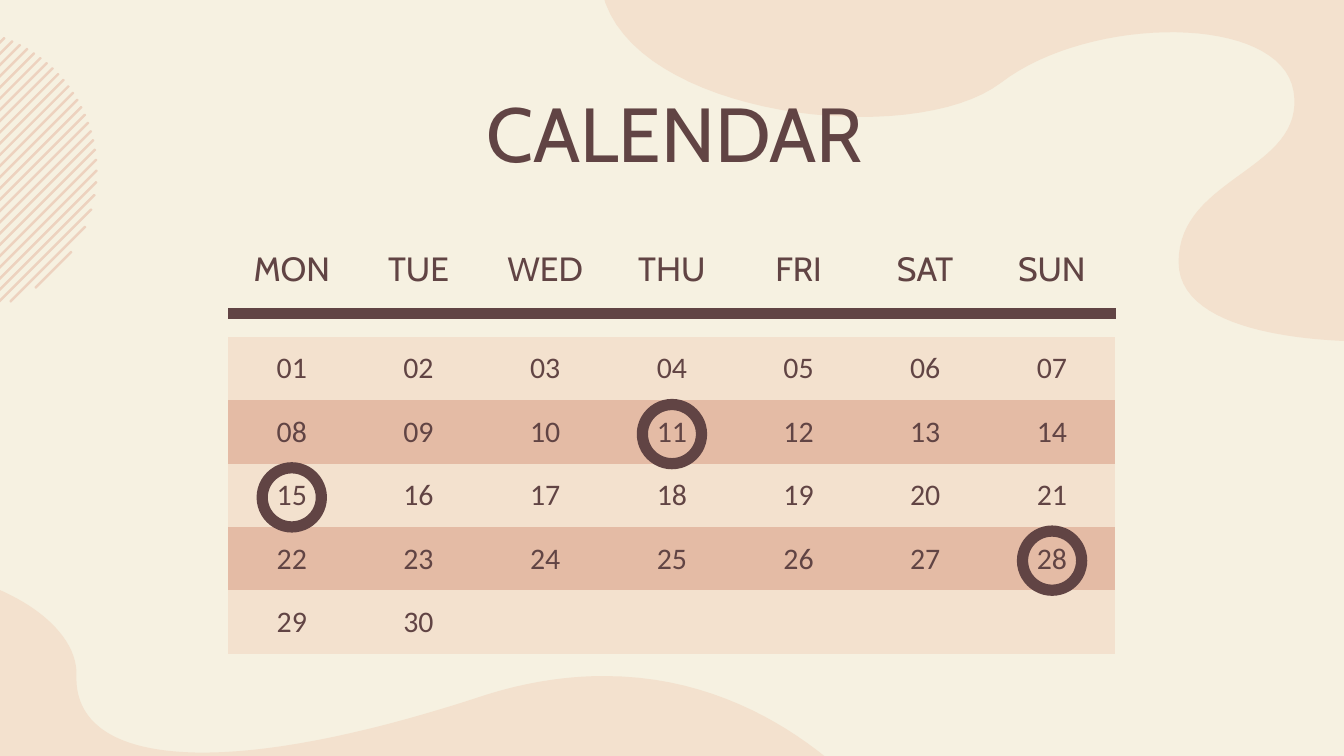
from dataclasses import dataclass
from math import sqrt

from lxml import etree
from pptx import Presentation
from pptx import util as u
from pptx.dml.color import RGBColor
from pptx.enum import shapes, text
from pptx.oxml.ns import qn

Pt = u.Pt
INK, CREAM, SAND, CLAY, STRIPE = "614444", "F6F1E1", "F3E1CE", "E4BBA5", "EDD2BF"
DAYS = ["MON", "TUE", "WED", "THU", "FRI", "SAT", "SUN"]
NO_GRID = "{2D5ABB26-0587-4C30-8999-92F81FD0307C}"
LEFT, TOP, WIDTH = 122.4, 126, 475.2
COL_W = WIDTH / len(DAYS)
ROW_HEIGHTS = [54.4, 29.6, 29.6, 29.6, 29.6, 31]

Point = tuple[float, float]


@dataclass
class Blob:
    """Outline in points: a start, cubic curves, then closing corners."""
    start: Point
    curves: list[tuple[Point, Point, Point]]
    corners: list[Point]


@dataclass
class Hatching:
    """Diagonal stripes filling a circle; first is x + y of the first stripe."""
    cx: float
    cy: float
    radius: float
    first: float
    step: float
    count: int
    thickness: float


@dataclass
class Ring:
    day: int
    size: float = 31.7


BLOBS = [
    Blob((737.3, 182.9),
         [((737.3, 182.9), (631.4, 186.5), (631.4, 140.4)),
          ((631.4, 94.3), (699.8, 91.4), (693, 49)),
          ((686.2, 7.2), (583.9, 7.9), (536.4, 44.3)),
          ((488.9, 80.6), (337.7, 62.6), (322.6, -4.3))],
         [(737.3, -4.3)]),
    Blob((476.6, 440.6),
         [((476.6, 440.6), (421.9, 362.2), (324, 362.2)),
          ((304.6, 362.2), (283.7, 365), (260.6, 372.2)),
          ((197.3, 393.1), (146.2, 403.2), (108.7, 403.2)),
          ((64.1, 403.2), (40.3, 388.8), (41, 362.2)),
          ((42.5, 333.4), (-3.6, 304.6), (-56.9, 304.6)),
          ((-96.5, 304.6), (-139.7, 320.4), (-171.4, 362.2))],
         [(-171.4, 440.6)]),
]
HATCHING = Hatching(-24.5, 91.4, 76.1, 22.3, 6.02, 26, 0.4)
RINGS = [Ring(15), Ring(11), Ring(28)]


def rgb(color: str) -> RGBColor:
    return RGBColor.from_string(color)


def write(p, words: str, *, font: str, size: float, color: str = INK) -> None:
    p.alignment = text.PP_ALIGN.CENTER
    r = p.add_run()
    r.text = words
    r.font.name, r.font.size, r.font.bold = font, Pt(size), False
    r.font.color.rgb = rgb(color)


def set_line(s, color: str, width: float) -> None:
    s.line.color.rgb = rgb(color)
    s.line.width = Pt(width)


def draw_outline(parent, points: list[Point], color: str):
    emu = [(Pt(x), Pt(y)) for x, y in points]
    builder = parent.build_freeform(*emu[0])
    builder.add_line_segments(emu[1:], close=True)
    s = builder.convert_to_shape()
    s.shadow.inherit = False
    s.fill.solid()
    s.fill.fore_color.rgb = rgb(color)
    s.line.fill.background()
    return s


def draw_blob(parent, blob: Blob, steps: int = 32) -> None:
    points = [blob.start]
    for b, c, d in blob.curves:
        a = points[-1]
        for i in range(1, steps + 1):
            t = i / steps
            weights = ((1 - t) ** 3, 3 * t * (1 - t) ** 2, 3 * t * t * (1 - t), t ** 3)
            x, y = (sum(w * q[k] for w, q in zip(weights, (a, b, c, d))) for k in (0, 1))
            points.append((x, y))
    draw_outline(parent, points + blob.corners, SAND)


def draw_hatching(parent, h: Hatching) -> None:
    group = parent.add_group_shape()
    for i in range(h.count):
        # Half of the offset along each axis, and half of the chord's width
        shift = (h.first + i * h.step - h.cx - h.cy) / 2
        half = sqrt((h.radius ** 2 - 2 * shift ** 2) / 2)
        x, y, t = h.cx + shift, h.cy + shift, h.thickness
        s = draw_outline(group.shapes, [(x + half, y - half), (x + half + t, y - half + t),
                                        (x - half + t, y + half + t), (x - half, y + half)],
                         STRIPE)
        set_line(s, STRIPE, 0.75)


def draw_ring(parent, ring: Ring) -> None:
    row, col = divmod(ring.day - 1, len(DAYS))
    cx, cy = LEFT + (col + 0.5) * COL_W, 198.7 + row * 33.9
    s = parent.add_shape(shapes.MSO_SHAPE.OVAL, Pt(cx - ring.size / 2),
                         Pt(cy - ring.size / 2), Pt(ring.size), Pt(ring.size))
    s.shadow.inherit = False
    s.fill.background()
    set_line(s, INK, 6)


def draw_calendar(parent) -> None:
    frame = parent.add_table(len(ROW_HEIGHTS), len(DAYS), Pt(LEFT), Pt(TOP),
                             Pt(WIDTH), Pt(sum(ROW_HEIGHTS)))
    table = frame.table
    table.first_row = table.horz_banding = False
    table._tbl.tblPr.find(qn("a:tableStyleId")).text = NO_GRID
    for column in table.columns:
        column.width = Pt(COL_W)
    for row, (height, table_row) in enumerate(zip(ROW_HEIGHTS, table.rows)):
        table_row.height = Pt(height)
        for col, cell in enumerate(table_row.cells):
            cell.margin_left = cell.margin_right = Pt(7.2)
            cell.margin_top = cell.margin_bottom = Pt(7.2)
            p = cell.text_frame.paragraphs[0]
            if row == 0:
                cell.fill.background()
                write(p, DAYS[col], font="Cabin", size=18)
                continue
            cell.vertical_anchor = text.MSO_ANCHOR.MIDDLE
            cell.fill.solid()
            cell.fill.fore_color.rgb = rgb(SAND if row % 2 else CLAY)
            day = (row - 1) * len(DAYS) + col + 1
            if day <= 30:
                write(p, f"{day:02}", font="Calibri", size=16)
            else:
                # Empty cells keep the height of the dated ones
                etree.SubElement(p._p, qn("a:endParaRPr")).set("sz", "1600")


def draw_rule(parent, x1: float, x2: float, y: float) -> None:
    s = parent.add_connector(shapes.MSO_CONNECTOR.STRAIGHT, Pt(x1), Pt(y), Pt(x2), Pt(y))
    set_line(s, INK, 6)
    etree.SubElement(s._element.spPr, qn("a:effectLst"))


def draw_title(parent, words: str) -> None:
    s = parent.add_textbox(Pt(42.5), Pt(38.9), Pt(638), Pt(45.4))
    tf = s.text_frame
    tf.word_wrap = True
    tf.margin_left = tf.margin_right = tf.margin_top = tf.margin_bottom = Pt(7.2)
    write(tf.paragraphs[0], words, font="Cabin", size=41)


def main() -> None:
    prs = Presentation()
    prs.slide_width, prs.slide_height = Pt(720), Pt(405)
    slide = prs.slides.add_slide(prs.slide_layouts[6])
    slide.background.fill.solid()
    slide.background.fill.fore_color.rgb = rgb(CREAM)
    sp = slide.shapes

    # Month grid and background shapes
    draw_calendar(sp)
    for blob in BLOBS:
        draw_blob(sp, blob)

    # Marked days and the rule below the weekdays
    for ring in RINGS:
        draw_ring(sp, ring)
    draw_rule(sp, LEFT, LEFT + WIDTH, 168)

    # Striped circle and title
    draw_hatching(sp, HATCHING)
    draw_title(sp, "CALENDAR")
    prs.save("out.pptx")


if __name__ == "__main__":
    main()
